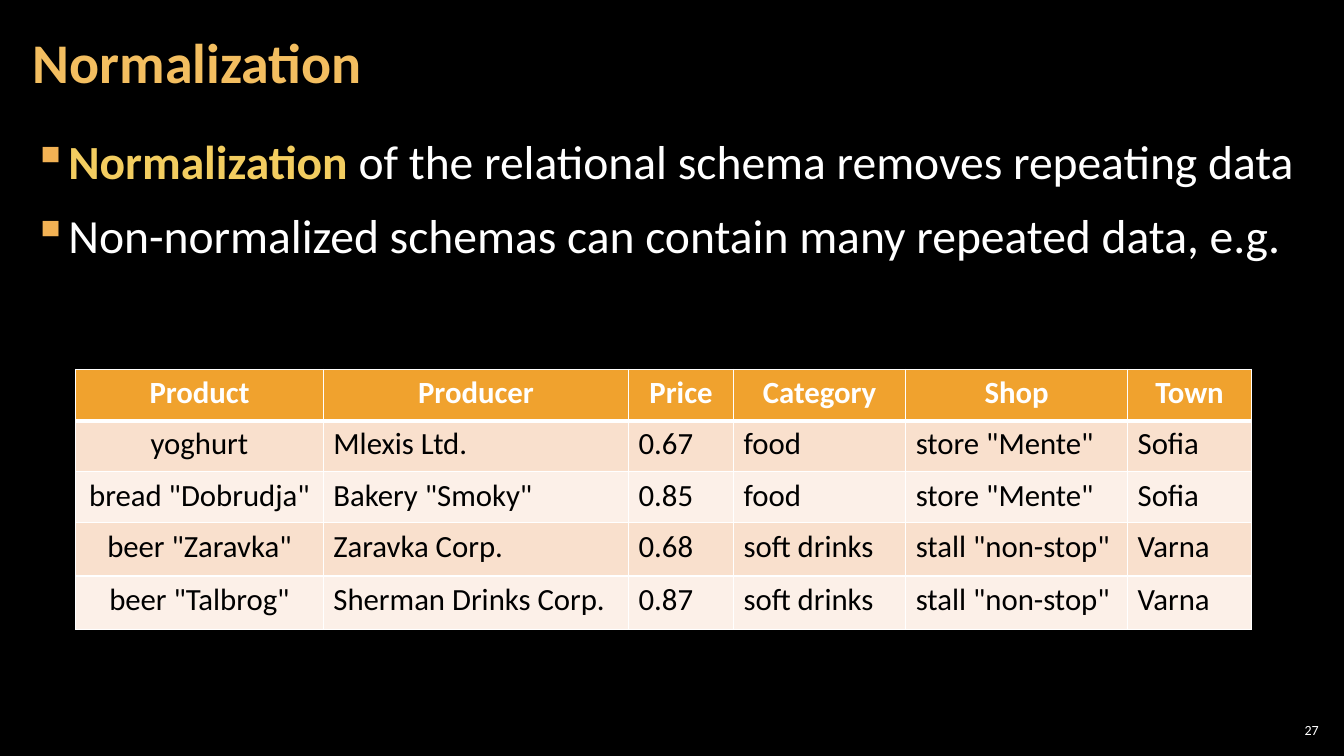
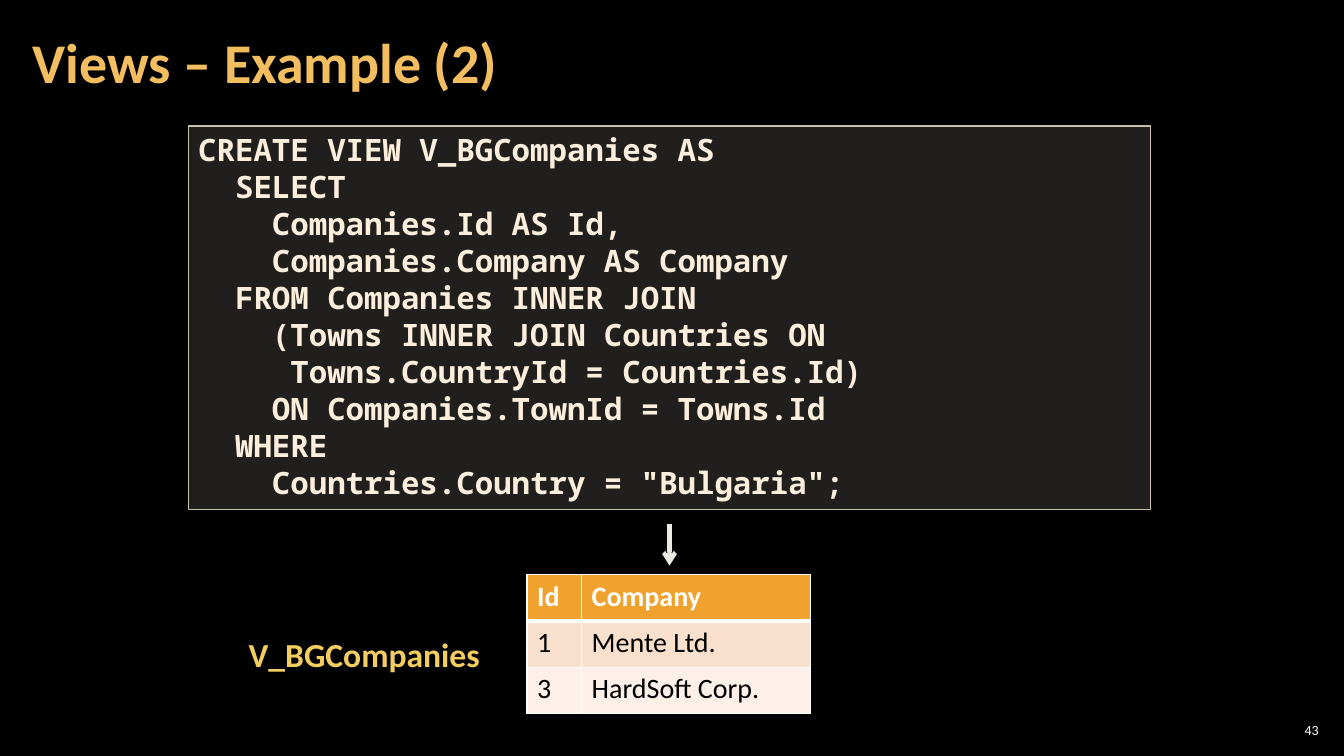
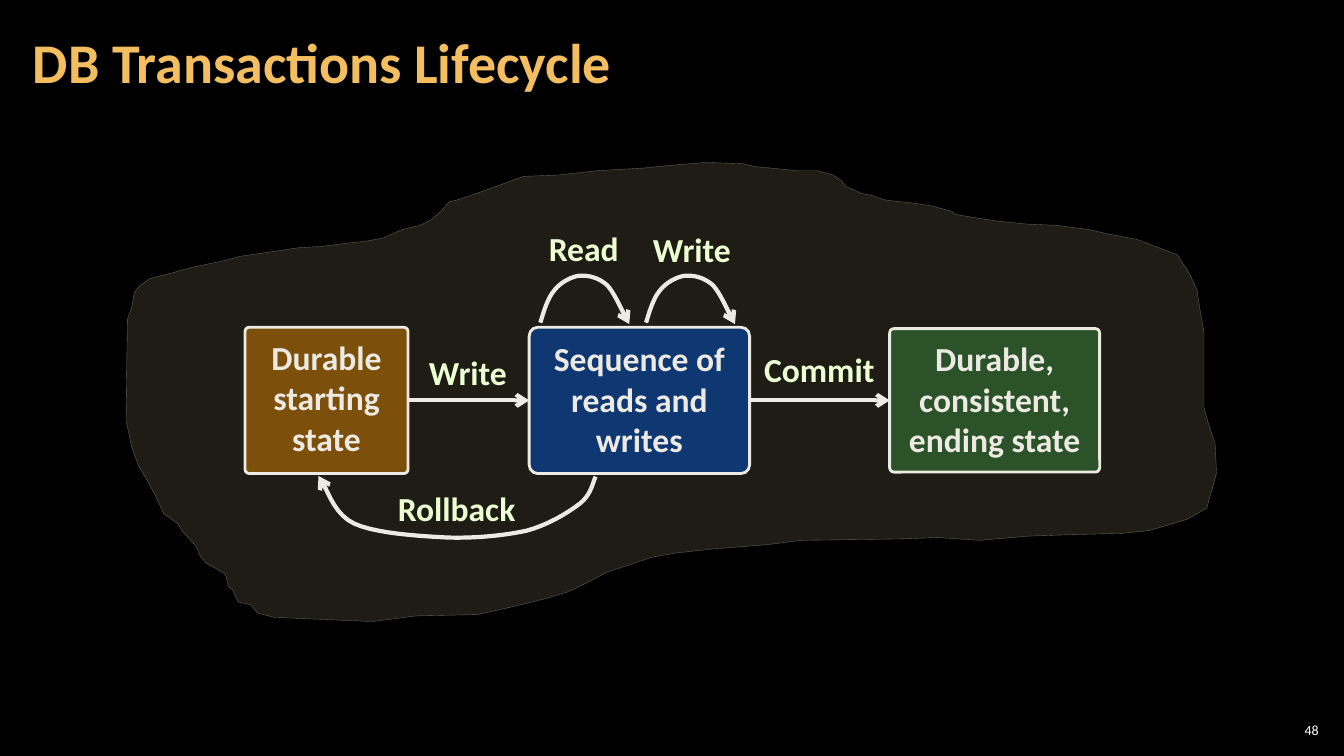
from typing import NamedTuple

from lxml import etree
from pptx import Presentation
from pptx import util as u
from pptx.dml.color import RGBColor
from pptx.enum import shapes, text
from pptx.oxml import ns

Pt = u.Pt

BLACK = RGBColor(0x00, 0x00, 0x00)
WHITE = RGBColor(0xFF, 0xFF, 0xFF)
TITLE = RGBColor(0xF3, 0xBE, 0x60)
ACCENT = RGBColor(0xF3, 0xCD, 0x60)
BULLET = RGBColor(0xF2, 0xB2, 0x54)
HEADER = RGBColor(0xF0, 0xA2, 0x2E)
BAND_DARK = RGBColor(0xF9, 0xE0, 0xCD)
BAND_LIGHT = RGBColor(0xFC, 0xF0, 0xE8)
CODE_FILL = RGBColor(0xD9, 0xD5, 0xC7)
CODE_TEXT = RGBColor(0xFB, 0xEE, 0xDC)
EDGE = RGBColor(0xC7, 0xBF, 0xAC)
INK = RGBColor(0xEC, 0xEA, 0xE3)
LABEL = RGBColor(0xEB, 0xFF, 0xD2)
CLOUD = RGBColor(0x7C, 0x71, 0x54)
BROWN = RGBColor(0xDA, 0x82, 0x00)
GREEN = RGBColor(0x38, 0x88, 0x3C)
BLUE = RGBColor(0x00, 0x55, 0xD2)

BODY_FONT = "Calibri"
CODE_FONT = "Noto Sans Mono"
LEFT, CENTER, RIGHT = text.PP_ALIGN.LEFT, text.PP_ALIGN.CENTER, text.PP_ALIGN.RIGHT
TOP, MIDDLE = text.MSO_ANCHOR.TOP, text.MSO_ANCHOR.MIDDLE
FRAME_INSETS = (8.5, 3, 8.5, 3)

PRODUCTS = [
    ["Product", "Producer", "Price", "Category", "Shop", "Town"],
    ["yoghurt", "Mlexis Ltd.", "0.67", "food", 'store "Mente"', "Sofia"],
    ['bread "Dobrudja"', 'Bakery "Smoky"', "0.85", "food", 'store "Mente"', "Sofia"],
    ['beer "Zaravka"', "Zaravka Corp.", "0.68", "soft drinks", 'stall "non-stop"', "Varna"],
    ['beer "Talbrog"', "Sherman Drinks Corp.", "0.87", "soft drinks", 'stall "non-stop"', "Varna"],
]
COMPANIES = [["Id", "Company"], ["1", "Mente Ltd."], ["3", "HardSoft Corp."]]

VIEW_SQL = """CREATE VIEW V_BGCompanies AS
  SELECT
    Companies.Id AS Id,
    Companies.Company AS Company
  FROM Companies INNER JOIN
    (Towns INNER JOIN Countries ON
     Towns.CountryId = Countries.Id)
    ON Companies.TownId = Towns.Id
  WHERE
    Countries.Country = "Bulgaria";"""

CLOUD_OUTLINE = [
    (231, 28), (236, 27), (251, 22), (284, 10), (309, 9), (336, 6), (370, 4), (390, 2),
    (415, 0), (441, 1), (449, 3), (460, 4), (480, 6), (494, 6), (505, 9), (511, 13),
    (514, 17), (525, 22), (534, 24), (543, 27), (562, 29), (575, 31), (590, 35), (592, 37),
    (603, 39), (623, 42), (643, 44), (665, 45), (688, 48), (701, 51), (722, 55), (751, 66),
    (760, 80), (765, 91), (767, 104), (770, 121), (770, 175), (773, 186), (778, 201),
    (779, 222), (772, 247), (758, 255), (731, 263), (711, 265), (674, 266), (644, 267),
    (610, 270), (580, 268), (553, 269), (482, 270), (459, 273), (421, 276), (393, 279),
    (376, 282), (361, 287), (343, 293), (326, 302), (315, 307), (302, 311), (282, 316),
    (265, 320), (251, 323), (207, 324), (176, 328), (106, 325), (94, 322), (89, 316),
    (80, 314), (76, 305), (73, 303), (71, 294), (57, 286), (53, 281), (50, 274), (47, 271),
    (40, 263), (37, 258), (30, 253), (27, 251), (21, 238), (14, 225), (9, 217), (4, 203),
    (0, 184), (1, 112), (4, 104), (6, 93), (9, 89), (17, 83), (29, 80), (47, 75), (71, 70),
    (82, 67), (103, 64), (123, 61), (140, 60), (156, 58), (173, 56), (184, 54), (197, 48),
    (210, 45), (218, 41), (225, 35),
]
LOOP_CURVE = [
    (0, 34), (1.5, 29.5), (4.5, 17.5), (9.5, 11.5), (13.5, 6), (21, 1.5), (27.5, 0.5),
    (34, 0), (41, 1.5), (47.5, 7), (53.5, 13), (60, 29.5), (63.5, 35),
]
ROLLBACK_CURVE = [
    (198, 0.5), (196, 4), (195, 13), (187, 19.5), (178.5, 26), (165, 34.5), (149, 39),
    (133, 42.5), (113, 44.5), (93, 44), (72, 43), (40.5, 41), (25.5, 34), (9.5, 26.5),
    (6, 7), (0, 0),
]


class Box(NamedTuple):
    """A rectangle in points."""
    left: float
    top: float
    width: float
    height: float

    def inner(self, left, top, width, height):
        """Return a box placed relative to this one."""
        return Box(self.left + left, self.top + top, width, height)

    def lengths(self):
        """Return left, top, width and height as lengths."""
        return [Pt(value) for value in self]


def add_xml(parent, tag, **attributes):
    """Append a DrawingML element."""
    return etree.SubElement(parent, ns.qn(tag), **attributes)


def set_alpha(shape, percent, part="a:solidFill"):
    """Make one colour of a shape partly transparent."""
    for color in shape.element.xpath(f"p:spPr/{part}/a:srgbClr"):
        add_xml(color, "a:alpha", val=str(percent * 1000))


def set_font(font, size, color, bold=False, name=BODY_FONT):
    """Set the face, size and colour of a font."""
    font.name, font.size, font.bold = name, Pt(size), bold
    font.color.rgb = color


def set_frame(frame, insets=(7.2, 3.6, 7.2, 3.6), anchor=TOP, wrap=True):
    """Set the insets, anchor and wrapping of a text frame."""
    frame.margin_left, frame.margin_top, frame.margin_right, frame.margin_bottom = map(Pt, insets)
    frame.vertical_anchor, frame.word_wrap = anchor, wrap
    frame.auto_size = text.MSO_AUTO_SIZE.NONE


def write(frame, content, size, color, bold=False, align=LEFT, name=BODY_FONT, spacing=None):
    """Write each line of the content as a paragraph."""
    for index, line in enumerate(content.split("\n")):
        paragraph = frame.add_paragraph() if index else frame.paragraphs[0]
        paragraph.text, paragraph.alignment = line, align
        paragraph.line_spacing = spacing
        set_font(paragraph.font, size, color, bold, name)


def add_label(slide, box, content, size=24, color=LABEL, align=CENTER):
    """Add a one-line bold label."""
    frame = slide.shapes.add_textbox(*box.lengths()).text_frame
    set_frame(frame, wrap=False)
    write(frame, content, size, color, True, align)


def add_panel(slide, box, kind, fill, alpha, line, width):
    """Add a translucent outlined shape."""
    shape = slide.shapes.add_shape(kind, *box.lengths())
    shape.shadow.inherit = False
    shape.fill.solid()
    shape.fill.fore_color.rgb = fill
    set_alpha(shape, alpha)
    shape.line.color.rgb, shape.line.width = line, Pt(width)
    return shape


def style_arrow(shape):
    """Give a line its colour, width and arrowhead."""
    shape.line.color.rgb, shape.line.width = INK, Pt(3)
    add_xml(shape.line._get_or_add_ln(), "a:tailEnd", type="arrow")


def add_arrow(slide, start, end):
    """Add a straight arrow between two points."""
    arrow = slide.shapes.add_connector(shapes.MSO_CONNECTOR.STRAIGHT, *map(Pt, start + end))
    style_arrow(arrow)
    add_xml(arrow.element.spPr, "a:effectLst")
    return arrow


def add_outline(slide, left, top, points, close):
    """Add a freeform through points relative to a corner."""
    first, *rest = [(round(x * 100), round(y * 100)) for x, y in points]
    builder = slide.shapes.build_freeform(*first, scale=Pt(1) / 100)
    builder.add_line_segments(rest, close=close)
    shape = builder.convert_to_shape(Pt(left), Pt(top))
    shape.shadow.inherit = False
    return shape


def sample_curve(controls, steps=10):
    """Return points along a chain of cubic curves."""
    points = [controls[0]]
    for index in range(0, len(controls) - 1, 3):
        segment = controls[index:index + 4]
        for step in range(1, steps + 1):
            t = step / steps
            weights = ((1 - t) ** 3, 3 * t * (1 - t) ** 2, 3 * t * t * (1 - t), t ** 3)
            points.append(tuple(sum(w * p[axis] for w, p in zip(weights, segment))
                                for axis in (0, 1)))
    return points


def add_curved_arrow(slide, left, top, controls):
    """Add a curved arrow relative to a corner."""
    shape = add_outline(slide, left, top, sample_curve(controls), False)
    shape.fill.background()
    style_arrow(shape)


def set_borders(cell, top, bottom):
    """Draw white borders round a cell."""
    properties = cell._tc.get_or_add_tcPr()
    for tag, width in (("a:lnL", 1), ("a:lnR", 1), ("a:lnT", top), ("a:lnB", bottom)):
        line = add_xml(properties, tag, w=str(Pt(width)))
        add_xml(add_xml(line, "a:solidFill"), "a:srgbClr", val=str(WHITE))


def add_data_table(slide, left, top, widths, heights, rows, size, centered=False):
    """Add a table with a header and banded rows."""
    box = Box(left, top, sum(widths), sum(heights))
    table = slide.shapes.add_table(len(rows), len(widths), *box.lengths()).table
    for column, width in zip(table.columns, widths):
        column.width = Pt(width)
    for row, height in zip(table.rows, heights):
        row.height = Pt(height)
    for r, row in enumerate(rows):
        for c, value in enumerate(row):
            cell = table.cell(r, c)
            set_borders(cell, 3 if r == 1 else 1, 3 if r == 0 else 1)
            cell.fill.solid()
            cell.fill.fore_color.rgb = (BAND_DARK if r % 2 else BAND_LIGHT) if r else HEADER
            align = CENTER if centered and 0 in (r, c) else LEFT
            write(cell.text_frame, value, size, BLACK if r else WHITE, r == 0, align)


def add_slide(presentation, title, number):
    """Add a slide with its title and number."""
    slide = presentation.slides.add_slide(presentation.slide_layouts[5])
    shape = slide.shapes.title
    shape.left, shape.top, shape.width, shape.height = Box(15, 3, 754, 87).lengths()
    set_frame(shape.text_frame, FRAME_INSETS, MIDDLE)
    write(shape.text_frame, title, 40, TITLE, True, spacing=0.9)
    frame = slide.shapes.add_textbox(*Box(911, 514, 34, 15).lengths()).text_frame
    set_frame(frame, (3, 3, 3, 3), MIDDLE)
    write(frame, str(number), 10, WHITE, align=RIGHT)
    return slide


def add_bullets(slide, box, items):
    """Add bulleted paragraphs made of plain and emphasised runs."""
    frame = slide.shapes.add_textbox(*box.lengths()).text_frame
    set_frame(frame, FRAME_INSETS)
    for index, (emphasis, plain) in enumerate(items):
        paragraph = frame.add_paragraph() if index else frame.paragraphs[0]
        properties = paragraph._p.get_or_add_pPr()
        properties.set("marL", str(Pt(24)))
        properties.set("indent", str(Pt(-24)))
        add_xml(add_xml(properties, "a:buClr"), "a:srgbClr", val=str(BULLET))
        add_xml(properties, "a:buChar", char="▪")
        paragraph.space_before = Pt(6 if index else 0)
        paragraph.space_after = Pt(6)
        set_font(paragraph.font, 34, WHITE)
        if emphasis:
            run = paragraph.add_run()
            run.text, run.font.bold = emphasis, True
            run.font.color.rgb = ACCENT
        paragraph.add_run().text = plain


def add_normalization(slide, box):
    """Place the bullets and the product table."""
    add_bullets(slide, box, [
        ("Normalization", " of the relational schema removes repeating data"),
        ("", "Non-normalized schemas can contain many repeated data, e.g."),
    ])
    add_data_table(slide, box.left + 39, box.top + 173, [177, 218, 75, 123, 158.5, 88.5],
                   [36.5, 36.5, 36.5, 38, 38], PRODUCTS, 22, centered=True)


def add_view_example(slide, box):
    """Place the view's code above its result."""
    code = add_panel(slide, box.inner(0, 0, box.width, 274),
                     shapes.MSO_SHAPE.RECTANGLE, CODE_FILL, 15, EDGE, 1)
    set_frame(code.text_frame)
    write(code.text_frame, VIEW_SQL, 22, CODE_TEXT, True, name=CODE_FONT, spacing=Pt(26.4))
    middle = box.left + box.width / 2
    add_arrow(slide, (middle, box.top + 284.5), (middle, box.top + 314))
    add_label(slide, box.inner(36, 359.5, 181.5, 33), "V_BGCompanies", color=ACCENT, align=LEFT)
    add_data_table(slide, box.left + 242, box.top + 320.5, [39, 163.5], [33] * 3, COMPANIES, 20)


def add_lifecycle(slide, box):
    """Place the transaction states and moves on a cloud."""
    cloud = add_outline(slide, box.left, box.top, CLOUD_OUTLINE, True)
    cloud.fill.solid()
    cloud.fill.fore_color.rgb = CLOUD
    cloud.line.color.rgb, cloud.line.width = EDGE, Pt(0.25)
    set_alpha(cloud, 25)
    set_alpha(cloud, 50, "a:ln/a:solidFill")

    states = []
    for left, width, height, radius, side, color, content in (
        (85, 116.5, 104.5, 0.03, 7, BROWN, "Durable starting state"),
        (288, 157.5, 104.5, 0.06, 7, BLUE, "Sequence of reads and writes"),
        (545.5, 150, 102.5, 0.03, 8.5, GREEN, "Durable,\nconsistent,\nending state"),
    ):
        state = add_panel(slide, box.inner(left, 170 - height / 2, width, height),
                          shapes.MSO_SHAPE.ROUNDED_RECTANGLE, color, 50, INK, 2)
        state.adjustments[0] = radius
        set_frame(state.text_frame, (side, 6, side, 8.5))
        write(state.text_frame, content, 24, INK, True, CENTER)
        states.append(state)

    for source, target in zip(states, states[1:]):
        arrow = add_arrow(slide, (0, 0), (0, 0))
        arrow.begin_connect(source, 3)
        arrow.end_connect(target, 1)

    for left, top, curve in ((296, 80.5, LOOP_CURVE), (371.5, 80.5, LOOP_CURVE),
                             (137.5, 224, ROLLBACK_CURVE)):
        add_curved_arrow(slide, box.left + left, box.top + top, curve)

    for left, top, width, content in (
        (294.5, 43, 65, "Read"), (368, 44, 72.5, "Write"), (204, 131.5, 80.5, "Write"),
        (448, 129.5, 94.5, "Commit"), (186.5, 229, 99.5, "Rollback"),
    ):
        add_label(slide, box.inner(left, top, width, 36), content)


def main():
    """Build and save the presentation."""
    presentation = Presentation()
    presentation.slide_width, presentation.slide_height = Pt(960), Pt(540)
    background = presentation.slide_master.background.fill
    background.solid()
    background.fore_color.rgb = BLACK
    add_normalization(add_slide(presentation, "Normalization", 27), Box(15, 91, 930, 438))
    add_view_example(add_slide(presentation, "Views – Example (2)", 43), Box(134.5, 90, 687.5, 420))
    add_lifecycle(add_slide(presentation, "DB Transactions Lifecycle", 48), Box(90, 116, 780, 332))
    presentation.save("out.pptx")


if __name__ == "__main__":
    main()
